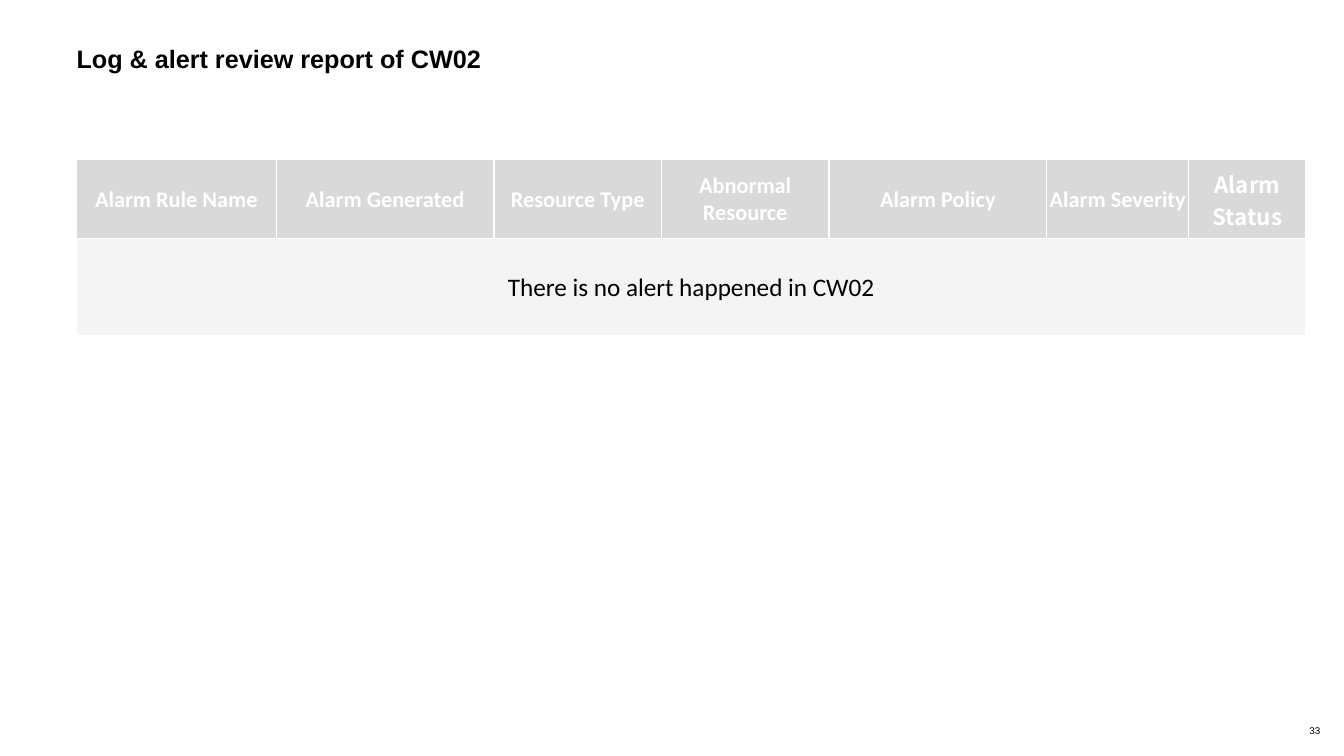
from lxml import etree
from pptx import Presentation
from pptx.dml.color import RGBColor
from pptx.enum.text import MSO_ANCHOR, PP_ALIGN
from pptx.oxml import parse_xml
from pptx.util import Cm, Pt

DRAWING = "http://schemas.openxmlformats.org/drawingml/2006/main"
HEADERS = ["Alarm Rule Name", "Alarm Generated", "Resource Type", "Abnormal Resource",
           "Alarm Policy", "Alarm Severity", "Alarm Status"]
COLUMN_WIDTHS = [5.03, 5.49, 4.22, 4.22, 5.49, 3.58, 2.95]
ROW_HEIGHTS = [2.01, 2.44]


def color(value):
    return RGBColor.from_string(value)


class ReportSlide:
    ink = "000000"
    white = "FFFFFF"
    header_fill = "D9D9D9"
    body_fill = "F4F4F4"

    def __init__(self, presentation):
        self.slide = presentation.slides.add_slide(presentation.slide_layouts[6])
        self.slide.background.fill.solid()
        self.slide.background.fill.fore_color.rgb = color(self.white)

    def format_runs(self, paragraph, size, font, ink, bold):
        for run in paragraph.runs:
            run.font.size = Pt(size)
            run.font.name = font
            run.font.bold = bold
            run.font.color.rgb = color(ink)

    def text(self, content, left, top, width, height, size, bold=False,
             anchor=MSO_ANCHOR.TOP, line_spacing=1.0):
        frame = self.slide.shapes.add_textbox(Cm(left), Cm(top), Cm(width), Cm(height)).text_frame
        frame.word_wrap = True
        frame.vertical_anchor = anchor
        frame.margin_left = frame.margin_top = frame.margin_right = frame.margin_bottom = 0
        frame.text = content
        paragraph = frame.paragraphs[0]
        paragraph.line_spacing = line_spacing
        self.format_runs(paragraph, size, "Arial", self.ink, bold)

    def borders(self, cell):
        properties = cell._tc.get_or_add_tcPr()
        for index, side in enumerate(["lnL", "lnR", "lnT", "lnB"]):
            line = parse_xml(f'<a:{side} xmlns:a="{DRAWING}" w="{Pt(1)}"/>')
            fill = etree.SubElement(line, f"{{{DRAWING}}}solidFill")
            etree.SubElement(fill, f"{{{DRAWING}}}srgbClr", val=self.white)
            properties.insert(index, line)

    def cell_text(self, cell, content, size, font, ink, bold):
        cell.text_frame.text = content
        paragraph = cell.text_frame.paragraphs[0]
        paragraph.alignment = PP_ALIGN.CENTER
        self.format_runs(paragraph, size, font, ink, bold)

    def alarm_table(self, left, top, message):
        table = self.slide.shapes.add_table(
            len(ROW_HEIGHTS), len(HEADERS), Cm(left), Cm(top),
            Cm(sum(COLUMN_WIDTHS)), Cm(sum(ROW_HEIGHTS))).table
        table.horz_banding = False
        for column, width in zip(table.columns, COLUMN_WIDTHS):
            column.width = Cm(width)
        for row, height, fill in zip(table.rows, ROW_HEIGHTS, [self.header_fill, self.body_fill]):
            row.height = Cm(height)
            for cell in row.cells:
                cell.fill.solid()
                cell.fill.fore_color.rgb = color(fill)
                cell.vertical_anchor = MSO_ANCHOR.MIDDLE
                cell.margin_left = cell.margin_right = cell.margin_top = Cm(0.03)
                cell.margin_bottom = 0
                self.borders(cell)
        for cell, header in zip(table.rows[0].cells, HEADERS):
            font = "Noto Sans CJK SC" if header == "Alarm Status" else "Calibri"
            self.cell_text(cell, header, 16, font, self.white, True)
        table.cell(1, 0).merge(table.cell(1, len(HEADERS) - 1))
        self.cell_text(table.cell(1, 0), message, 18, "Calibri", self.ink, False)


def main():
    presentation = Presentation()
    presentation.slide_width = Cm(33.87)
    presentation.slide_height = Cm(19.05)
    report = ReportSlide(presentation)
    report.text("33", 33, 18.19, 0.86, 0.43, 7, anchor=MSO_ANCHOR.MIDDLE)
    report.text("Log & alert review report of CW02", 1.93, 1.02, 31.5, 1.7, 18,
                bold=True, line_spacing=1.1)
    report.alarm_table(1.93, 4.01, "There is no alert happened in CW02")
    presentation.save("out.pptx")


if __name__ == "__main__":
    main()
